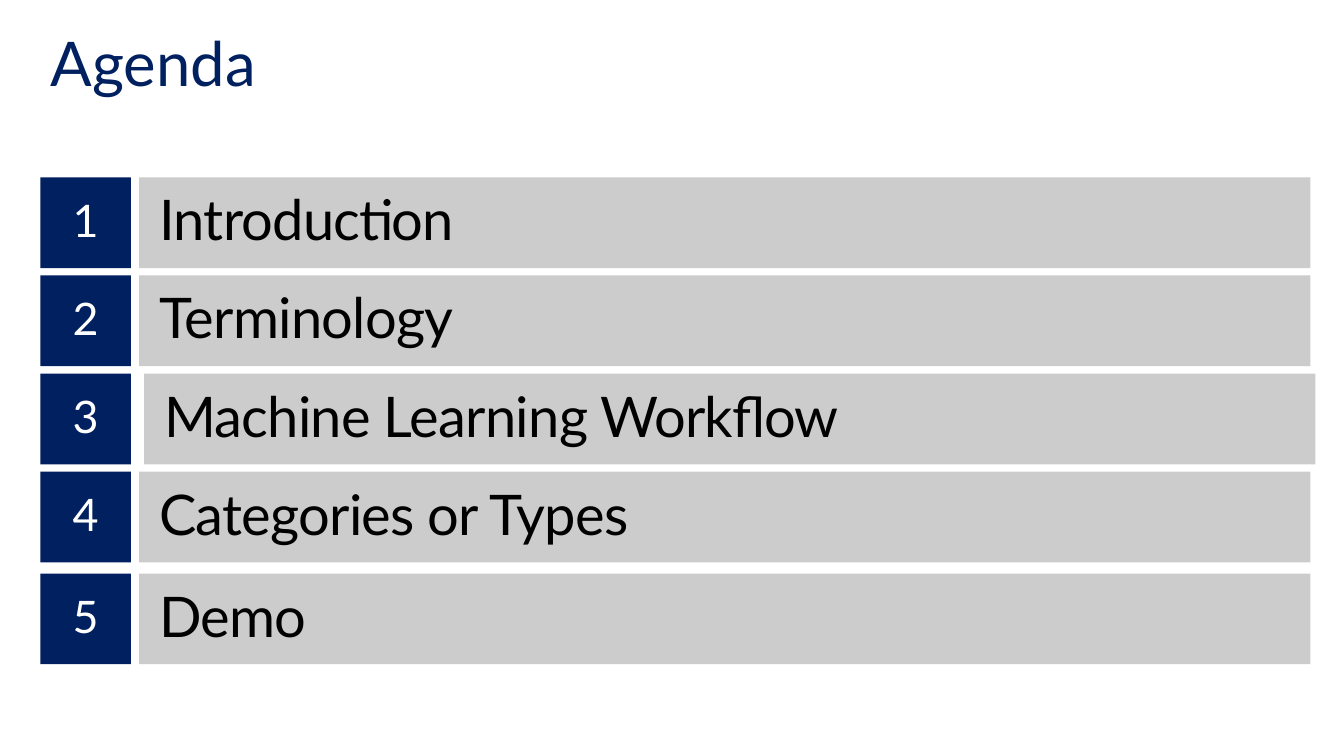
import pptx
import pptx.util
import pptx.dml.color
import pptx.enum.shapes
import pptx.enum.text
from dataclasses import dataclass

Pt = pptx.util.Pt
Color = pptx.dml.color.RGBColor.from_string
Align = pptx.enum.text.PP_ALIGN
Anchor = pptx.enum.text.MSO_ANCHOR
Fit = pptx.enum.text.MSO_AUTO_SIZE
Rect = pptx.enum.shapes.MSO_SHAPE.RECTANGLE


@dataclass(frozen=True)
class Theme:
    font: str = "Lato"
    navy: str = "002060"
    gray: str = "CCCCCC"
    white: str = "FFFFFF"
    black: str = "000000"
    title: int = 44
    number: int = 32
    topic: int = 40


THEME = Theme()
TOPICS = ["Introduction", "Terminology", "Machine Learning Workflow",
          "Categories or Types", "Demo"]
SHIFTS = {2: (3.6, 0), 4: (0, 2.64)}


def assign(target, values):
    for name, value in values.items():
        setattr(target, name, value)


def write(shape, text, size, color, align, inset):
    side, edge = (Pt(gap) for gap in inset)
    frame = shape.text_frame
    frame.text = text
    assign(frame, {"word_wrap": True, "auto_size": Fit.NONE,
                   "vertical_anchor": Anchor.MIDDLE,
                   "margin_left": side, "margin_right": side,
                   "margin_top": edge, "margin_bottom": edge})
    line = frame.paragraphs[0]
    assign(line, {"alignment": align, "line_spacing": 0.9})
    run = line.runs[0]
    assign(run.font, {"name": THEME.font, "size": Pt(size)})
    run.font.color.rgb = Color(color)
    return run


def block(slide, box, fill):
    shape = slide.shapes.add_shape(Rect, *(Pt(side) for side in box))
    shape.shadow.inherit = False
    shape.fill.solid()
    shape.fill.fore_color.rgb = Color(fill)
    shape.line.fill.background()
    return shape


def header(slide, box):
    title = slide.shapes.title
    left, top, width, height = (Pt(side) for side in box)
    assign(title, {"left": left, "top": top, "width": width, "height": height})
    write(title, "Agenda", THEME.title, THEME.navy, Align.LEFT, (7.2, 3.6))


def entry(slide, box, number, topic, shift):
    left, top, width, height = box
    tile = block(slide, (left, top, height, height), THEME.navy)
    write(tile, str(number), THEME.number, THEME.white, Align.CENTER, (14.4, 11.52))
    start = height + 5.76
    bar = block(slide, (left + start + shift, top, width - start, height), THEME.gray)
    run = write(bar, topic, THEME.topic, THEME.black, Align.LEFT, (14.4, 7.2))
    run.font._element.set("spc", "-50")


def agenda(slide, box):
    left, top, width, height = box
    tall = 64.8
    pitch = (height - tall) / (len(TOPICS) - 1)
    for index, topic in enumerate(TOPICS):
        across, down = SHIFTS.get(index, (0, 0))
        row = (left, top + index * pitch + down, width, tall)
        entry(slide, row, index + 1, topic, across)


def main():
    deck = pptx.Presentation()
    assign(deck, {"slide_width": Pt(960), "slide_height": Pt(540)})
    slide = deck.slides.add_slide(deck.slide_layouts[5])
    header(slide, (28.8, 18, 907.2, 59.04))
    agenda(slide, (28.8, 126.72, 907.2, 345.12))
    deck.save("out.pptx")


if __name__ == "__main__":
    main()
